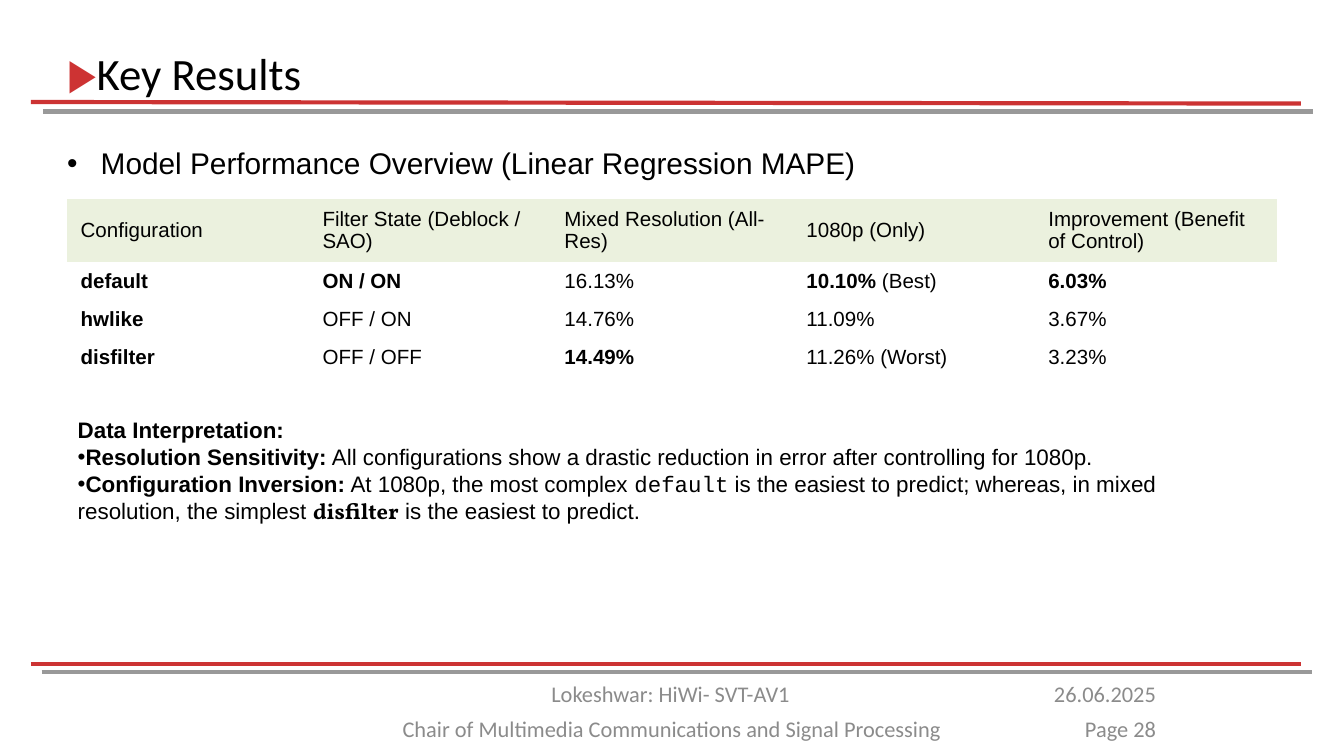
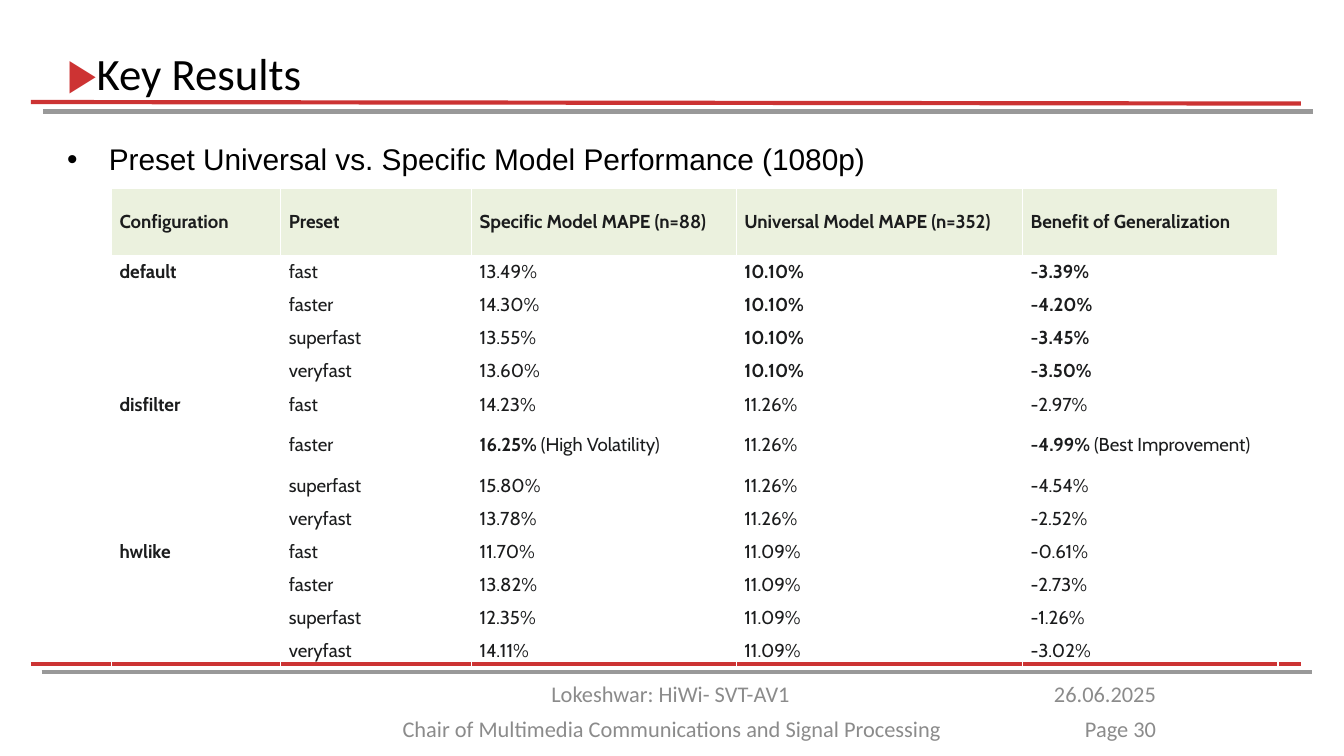
"""Build two slides of key results: a model overview and a preset comparison."""
import pptx
import pptx.dml.color
import pptx.enum.shapes
import pptx.enum.text
import pptx.util
import lxml.etree

hues = {"red": "CC3333", "mark": "CD3333", "gray": "999999", "foot": "8B8B8B",
        "black": "000000", "ink": "1B1C1D", "head": "EBF1DE", "white": "FFFFFF"}
NS = "{http://schemas.openxmlformats.org/drawingml/2006/main}"
PLAIN = "{2D5ABB26-0587-4C30-8999-92F81FD0307C}"
Pt = pptx.util.Pt
rgb = pptx.dml.color.RGBColor.from_string
align = pptx.enum.text.PP_ALIGN
anchor = pptx.enum.text.MSO_ANCHOR

deck = pptx.Presentation()
deck.slide_width = pptx.util.Inches(10)
deck.slide_height = pptx.util.Inches(5.625)
col = deck.slide_width / 100
row = deck.slide_height / 100


def text(frame, words, size=12, face="Arial", hue="black", side=None,
         space=None, bullet=(), hang=0, faces={}, tints={}):
    """Write one paragraph per line; each * switches bold on or off."""
    for n, line in enumerate(words.split("\n")):
        para = frame.add_paragraph() if n else frame.paragraphs[0]
        para.alignment = side
        para.line_spacing = space
        if n in bullet:
            props = para._p.get_or_add_pPr()
            props.set("marL", str(int(hang * col)))
            props.set("indent", str(-int(hang * col)))
            lxml.etree.SubElement(props, NS + "buFont", typeface="Arial")
            lxml.etree.SubElement(props, NS + "buChar", char="•")
        for k, part in enumerate(line.split("*")):
            if part:
                run = para.add_run()
                run.text = part
                run.font.size = Pt(size)
                run.font.bold = k % 2 == 1
                run.font.name = faces.get(part, face)
                run.font.color.rgb = rgb(hues[tints.get(part, hue)])
        if not line:
            lxml.etree.SubElement(para._p, NS + "endParaRPr", sz=str(size * 100))


def box(page, x, y, w, h, flush=False):
    """Add an empty text box placed on the grid and return its frame."""
    frame = page.shapes.add_textbox(int(x * col), int(y * row),
                                    int(w * col), int(h * row)).text_frame
    frame.word_wrap = True
    if flush:
        frame.margin_left = frame.margin_right = 0
        frame.margin_top = frame.margin_bottom = 0
        frame.vertical_anchor = anchor.MIDDLE
    return frame


rules = [(2.3, 13.5, 13.7, "red"), (3.2, 14.75, 14.75, "gray"),
         (2.3, 87.8, 87.8, "red"), (3.1, 88.9, 88.9, "gray")]

over = [
    ["Configuration", "Filter State (Deblock / SAO)", "Mixed Resolution (All-Res)",
     "1080p (Only)", "Improvement (Benefit of Control)"],
    ["*default*", "*ON / ON*", "16.13%", "*10.10%* (Best)", "*6.03%*"],
    ["*hwlike*", "OFF / ON", "14.76%", "11.09%", "3.67%"],
    ["*disfilter*", "OFF / OFF", "*14.49%*", "11.26% (Worst)", "3.23%"]]

sets = ["fast", "faster", "superfast", "veryfast"]
runs = [
    ("default", "*10.10%*", ["13.49%", "14.30%", "13.55%", "13.60%"],
     ["*-3.39%*", "*-4.20%*", "*-3.45%*", "*-3.50%*"]),
    ("disfilter", "11.26%", ["14.23%", "*16.25%* (High Volatility)", "15.80%", "13.78%"],
     ["-2.97%", "*-4.99%* (Best Improvement)", "-4.54%", "-2.52%"]),
    ("hwlike", "11.09%", ["11.70%", "13.82%", "12.35%", "14.11%"],
     ["-0.61%", "-2.73%", "-1.26%", "-3.02%"])]
versus = [["*Configuration*", "*Preset*", "*Specific Model MAPE (n=88)*",
           "*Universal Model MAPE (n=352)*", "*Benefit of Generalization*"]]
for name, whole, own, gain in runs:
    for n, preset in enumerate(sets):
        versus.append(["" if n else f"*{name}*", preset, own[n], whole, gain[n]])

pages = [
    dict(num=28, lead="Model Performance Overview (Linear Regression MAPE)", top=18.3,
         hang=2.5, data=over, x=5, y=26.3, cols=[18] * 5, rows=[7.8] + [4.8] * 3,
         pad=(1, 0.9), edge=False, font=dict(size=11)),
    dict(num=30, lead="Preset Universal vs. Specific Model Performance (1080p)", top=17.8,
         hang=3.1, data=versus, x=8.3, y=24.9, cols=[12.6, 14.2, 19.7, 21.3, 19],
         rows=[8.9] + [4.35] * 5 + [6.4] + [4.35] * 6, pad=(0.6, 0.7), edge=True,
         font=dict(size=10, face="Cabin", hue="ink"))]

for item in pages:
    page = deck.slides.add_slide(deck.slide_layouts[6])
    for x, start, end, hue in rules:
        line = page.shapes.add_connector(
            pptx.enum.shapes.MSO_CONNECTOR.STRAIGHT, int(x * col), int(start * row),
            int((x + 94.5) * col), int(end * row))
        line.line.color.rgb = rgb(hues[hue])
        line.line.width = Pt(2.25)
        lxml.etree.SubElement(line._element.spPr, NS + "effectLst")

    notes = [(26, 93.7, 48, "Chair of Multimedia Communications and Signal Processing", align.CENTER),
             (25.9, 89.05, 48, "Lokeshwar: HiWi- SVT-AV1", align.CENTER),
             (76.8, 89.05, 10.2, "26.06.2025", align.RIGHT),
             (75.2, 93.7, 11.8, f"Page {item['num']}", align.RIGHT)]
    for x, y, w, words, side in notes:
        text(box(page, x, y, w, 5.4), words, face="Calibri", hue="foot", side=side)

    text(box(page, 5, item["top"], 90, 7, flush=True), item["lead"], size=16,
         space=0.9, bullet=(0,), hang=item["hang"])
    text(box(page, 5, 5.15, 90, 9.8, flush=True), "▶**Key Results", size=24,
         face="Calibri", space=0.9, faces={"▶": "Roboto"}, tints={"▶": "mark"})

    table = page.shapes.add_table(
        len(item["rows"]), len(item["cols"]), int(item["x"] * col), int(item["y"] * row),
        int(sum(item["cols"]) * col), int(sum(item["rows"]) * row)).table
    table.horz_banding = False
    table._tbl.tblPr[0].text = PLAIN
    for n, w in enumerate(item["cols"]):
        table.columns[n].width = int(w * col)
    for r, h in enumerate(item["rows"]):
        table.rows[r].height = int(h * row)
        for c, words in enumerate(item["data"][r]):
            cell = table.cell(r, c)
            cell.vertical_anchor = anchor.MIDDLE
            cell.margin_left = cell.margin_right = int(item["pad"][0] * col)
            cell.margin_top = cell.margin_bottom = int(item["pad"][1] * row)
            if item["edge"]:
                for tag in ("lnL", "lnR", "lnT", "lnB"):
                    edge = lxml.etree.SubElement(cell._tc.get_or_add_tcPr(), NS + tag,
                                                 w=str(Pt(0.75)))
                    fill = lxml.etree.SubElement(edge, NS + "solidFill")
                    lxml.etree.SubElement(fill, NS + "srgbClr", val=hues["white"])
            if r == 0:
                cell.fill.solid()
                cell.fill.fore_color.rgb = rgb(hues["head"])
            else:
                cell.fill.background()
            text(cell.text_frame, words, **item["font"])

text(box(deck.slides[0], 4.8, 54.2, 86.9, 16.2),
     "*Data Interpretation:*\n"
     "*Resolution Sensitivity:* All configurations show a drastic reduction in error "
     "after controlling for 1080p.\n"
     "*Configuration Inversion:* At 1080p, the most complex **default** is the easiest "
     "to predict; whereas, in mixed resolution, the simplest *disfilter* is the easiest "
     "to predict.",
     bullet=(1, 2), faces={"default": "Courier New", "disfilter": "Vollkorn"})

deck.save("out.pptx")
